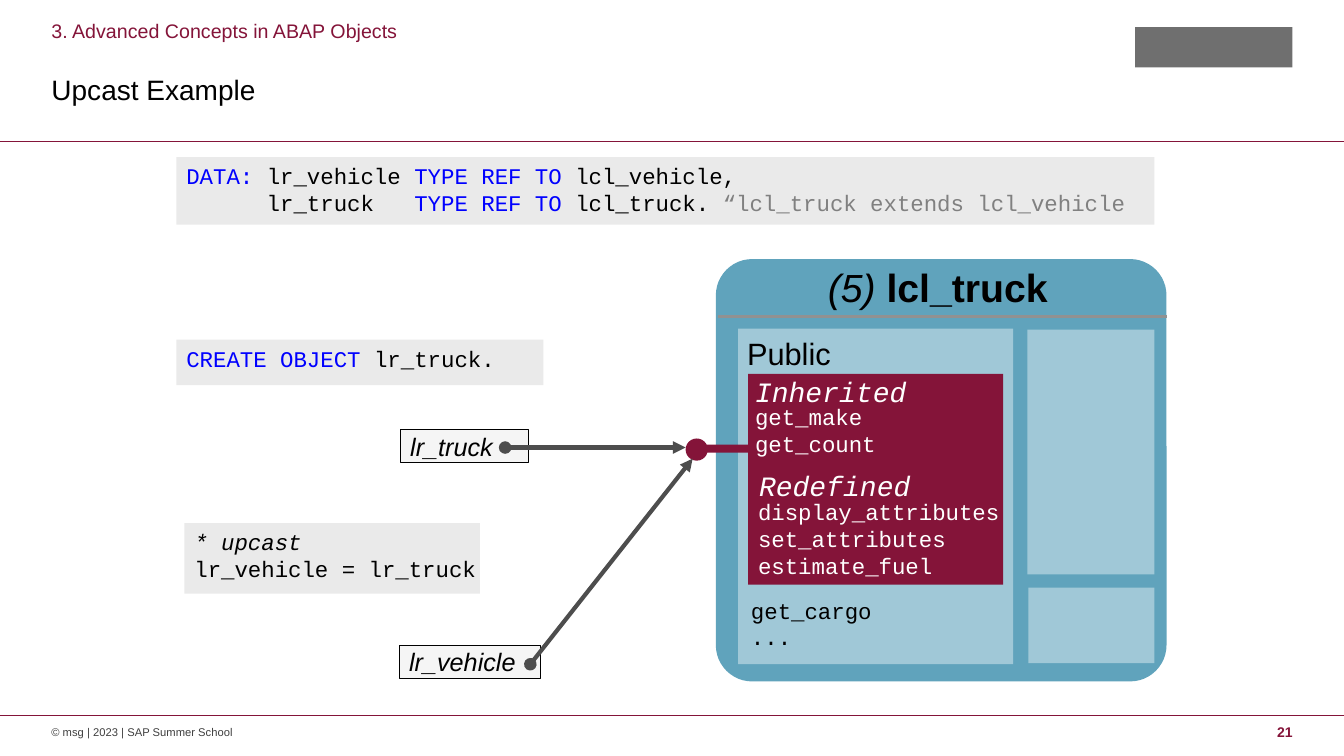
"""Build the slide that explains an upcast between two ABAP object references."""
import lxml.etree
import pptx
import pptx.dml.color
import pptx.enum.shapes
import pptx.enum.text
import pptx.oxml.ns
import pptx.util

Inches = pptx.util.Inches
Shapes = pptx.enum.shapes.MSO_SHAPE
Anchor = pptx.enum.text.MSO_ANCHOR
Align = pptx.enum.text.PP_ALIGN

THEME = {
    "sans": "Arial", "mono": "Courier New",
    "accent": "841439", "black": "000000", "white": "FFFFFF",
    "keyword": "0000FF", "remark": "808080", "footer": "3F3F3F",
    "code_fill": "EAEAEA", "label_fill": "F5F5F5", "logo": "6F6F6F",
    "object": "60A3BC", "section": "A0C8D7", "divider": "919191", "arrow": "4D4D4D",
    "title_size": 20, "chapter_size": 14, "object_size": 28, "section_size": 22,
    "heading_size": 20, "code_size": 16, "label_size": 18, "number_size": 10, "footer_size": 8,
}
LINE_HEIGHT = 1.13
INSETS = (0.1, 0.05, 0.1, 0.05)
FLUSH = (0, 0, 0, 0)

CHAPTER = "3. Advanced Concepts in ABAP Objects"
TITLE = "Upcast Example"
FOOTER = "© msg | 2023 | SAP Summer School"
PAGE = "21"

RULES = [1.4, 7.1]
KEYWORD, REMARK, ITALIC = {"color": "keyword"}, {"color": "remark"}, {"italic": True}
LISTINGS = [
    ((1.75, 1.56, 9.7, 0.67), [
        [("DATA: ", KEYWORD), "lr_vehicle ", ("TYPE REF TO ", KEYWORD), "lcl_vehicle,"],
        ["      lr_truck   ", ("TYPE REF TO ", KEYWORD), "lcl_truck. ",
         ("“lcl_truck extends lcl_vehicle", REMARK)]]),
    ((1.75, 3.37, 3.64, 0.45), [[("CREATE OBJECT ", KEYWORD), "lr_truck."]]),
    ((1.83, 5.19, 2.93, 0.7), [[("* upcast", ITALIC)], ["lr_vehicle = lr_truck"]]),
]
OBJECT_BOX = (7.1, 2.57, 4.47, 4.19)
OBJECT_NAME = [[("(5) ", ITALIC), ("lcl_truck", {"bold": True})]]
SECTIONS = [(10.19, 3.27, 1.26, 2.43), (10.2, 5.83, 1.25, 0.75), (7.32, 3.26, 2.73, 3.33)]
INHERITED_PARTS = [
    (Shapes.OVAL, (6.8, 4.35, 0.22, 0.22)),
    (Shapes.RECTANGLE, (6.99, 4.41, 0.44, 0.08)),
    (Shapes.RECTANGLE, (7.42, 3.71, 2.53, 2.09)),
]
HEADINGS = [((7.39, 3.67), "Inherited"), ((7.43, 4.6), "Redefined")]
METHODS = [
    ((7.39, 3.95), "white", ["get_make", "get_count"]),
    ((7.42, 4.89), "white", ["display_attributes", "set_attributes", "estimate_fuel"]),
    ((7.35, 5.87), "black", ["get_cargo", "..."]),
]
REFERENCES = [
    ("lr_truck", (3.97, 4.26, 1.27, 0.33), (5.01, 4.44), (6.8, 4.44)),
    ("lr_vehicle", (3.96, 6.4, 1.4, 0.33), (5.26, 6.59), (6.87, 4.55)),
]


def rgb(name):
    """Return the theme colour of that name."""
    return pptx.dml.color.RGBColor.from_string(THEME[name])


def write(shape, paragraphs, size, font="sans", color="black", bold=False, italic=False,
          align=Align.LEFT, anchor=Anchor.TOP, insets=INSETS, wrap=False, spacing=None):
    """Fill a shape with paragraphs of plain or individually formatted runs."""
    frame = shape.text_frame
    frame.auto_size = pptx.enum.text.MSO_AUTO_SIZE.NONE
    frame.word_wrap, frame.vertical_anchor = wrap, anchor
    frame.margin_left, frame.margin_top, frame.margin_right, frame.margin_bottom = map(Inches, insets)
    for index, runs in enumerate(paragraphs):
        paragraph = frame.add_paragraph() if index else frame.paragraphs[0]
        paragraph.alignment = align
        paragraph.space_before = pptx.util.Pt(0)
        if spacing:
            paragraph.line_spacing = spacing
        for item in runs:
            text, changes = (item, {}) if isinstance(item, str) else item
            style = {"color": color, "bold": bold, "italic": italic, **changes}
            run = paragraph.add_run()
            run.text = text
            run.font.name, run.font.size = THEME[font], pptx.util.Pt(THEME[size])
            run.font.bold, run.font.italic = style["bold"], style["italic"]
            run.font.color.rgb = rgb(style["color"])


def add_box(slide, kind, box, fill, line=None):
    """Add a flat preset shape."""
    shape = slide.shapes.add_shape(kind, *map(Inches, box))
    shape.shadow.inherit = False
    shape.fill.solid()
    shape.fill.fore_color.rgb = rgb(fill)
    if line:
        shape.line.color.rgb = rgb(line)
        shape.line.width = pptx.util.Pt(0.75)
    else:
        shape.line.fill.background()
    return shape


def add_text(slide, box, paragraphs, size, **style):
    """Add a text box."""
    write(slide.shapes.add_textbox(*map(Inches, box)), paragraphs, size, **style)


def add_lines(slide, corner, lines, width, size, **style):
    """Add a text box as tall as its lines."""
    height = 0.1 + len(lines) * THEME[size] * LINE_HEIGHT / 72
    add_text(slide, (*corner, width, height), [[line] for line in lines], size, font="mono", **style)


def add_line(slide, start, end, color, width, arrow=False):
    """Add a straight line, as an arrow with a round tail if asked."""
    kind = pptx.enum.shapes.MSO_CONNECTOR.STRAIGHT
    connector = slide.shapes.add_connector(kind, *map(Inches, (*start, *end)))
    connector.line.color.rgb = rgb(color)
    connector.line.width = pptx.util.Pt(width)
    qn = pptx.oxml.ns.qn
    if arrow:
        outline = connector.line._get_or_add_ln()
        lxml.etree.SubElement(outline, qn("a:headEnd"), type="oval")
        lxml.etree.SubElement(outline, qn("a:tailEnd"), type="triangle")
    lxml.etree.SubElement(connector._element.spPr, qn("a:effectLst"))


def place(shape, box):
    """Move and size a placeholder."""
    shape.left, shape.top, shape.width, shape.height = map(Inches, box)


def add_frame(slide):
    """Add the headings, rules and footer."""
    for top in RULES:
        add_line(slide, (0, top), (13.33, top), "accent", 0.75)
    add_box(slide, Shapes.RECTANGLE, (11.26, 0.27, 1.56, 0.4), "logo")
    flat = {"insets": FLUSH, "anchor": Anchor.MIDDLE, "wrap": True}
    chapter, title = slide.placeholders[1], slide.shapes.title
    place(chapter, (0.51, 0.15, 10.03, 0.3))
    properties = chapter.text_frame.paragraphs[0]._p.get_or_add_pPr()
    properties.set("marL", "0")
    properties.set("indent", "0")
    lxml.etree.SubElement(properties, pptx.oxml.ns.qn("a:buNone"))
    write(chapter, [[CHAPTER]], "chapter_size", color="accent", **flat)
    place(title, (0.51, 0.45, 10.03, 0.92))
    write(title, [[TITLE]], "title_size", spacing=0.9, **flat)
    add_text(slide, (12.19, 7.19, 0.63, 0.15), [[PAGE]], "number_size",
             color="accent", bold=True, align=Align.RIGHT, **flat)
    add_text(slide, (0.51, 7.19, 10.03, 0.15), [[FOOTER]], "footer_size", color="footer", **flat)


def add_object(slide):
    """Add the truck object with its sections and methods."""
    panel = add_box(slide, Shapes.ROUNDED_RECTANGLE, OBJECT_BOX, "object")
    panel.adjustments[0] = 0.086
    add_text(slide, (7.08, 2.55, 4.44, 0.59), OBJECT_NAME, "object_size",
             align=Align.CENTER, insets=(0.12, 0.06, 0.12, 0.06), wrap=True)
    add_line(slide, (7.12, 3.14), (11.57, 3.14), "divider", 1.5)
    for box in SECTIONS:
        add_box(slide, Shapes.RECTANGLE, box, "section")
    add_text(slide, (7.41, 3.32, 0.84, 0.37), [["Public"]], "section_size", insets=FLUSH)
    for kind, box in INHERITED_PARTS:
        add_box(slide, kind, box, "accent")
    for corner, heading in HEADINGS:
        add_lines(slide, corner, [heading], 1.81, "heading_size", color="white", italic=True)
    for corner, color, names in METHODS:
        add_lines(slide, corner, names, 2.62, "code_size", color=color)


def main():
    """Build and save the slide."""
    presentation = pptx.Presentation()
    presentation.slide_width, presentation.slide_height = Inches(13.33), Inches(7.5)
    slide = presentation.slides.add_slide(presentation.slide_layouts[1])
    add_frame(slide)
    for box, code in LISTINGS:
        write(add_box(slide, Shapes.RECTANGLE, box, "code_fill"), code, "code_size", font="mono")
    add_object(slide)
    for name, box, start, end in REFERENCES:
        label = add_box(slide, Shapes.RECTANGLE, box, "label_fill", line="black")
        write(label, [[name]], "label_size", italic=True, anchor=Anchor.MIDDLE)
        add_line(slide, start, end, "arrow", 3, arrow=True)
    presentation.save("out.pptx")


if __name__ == "__main__":
    main()
